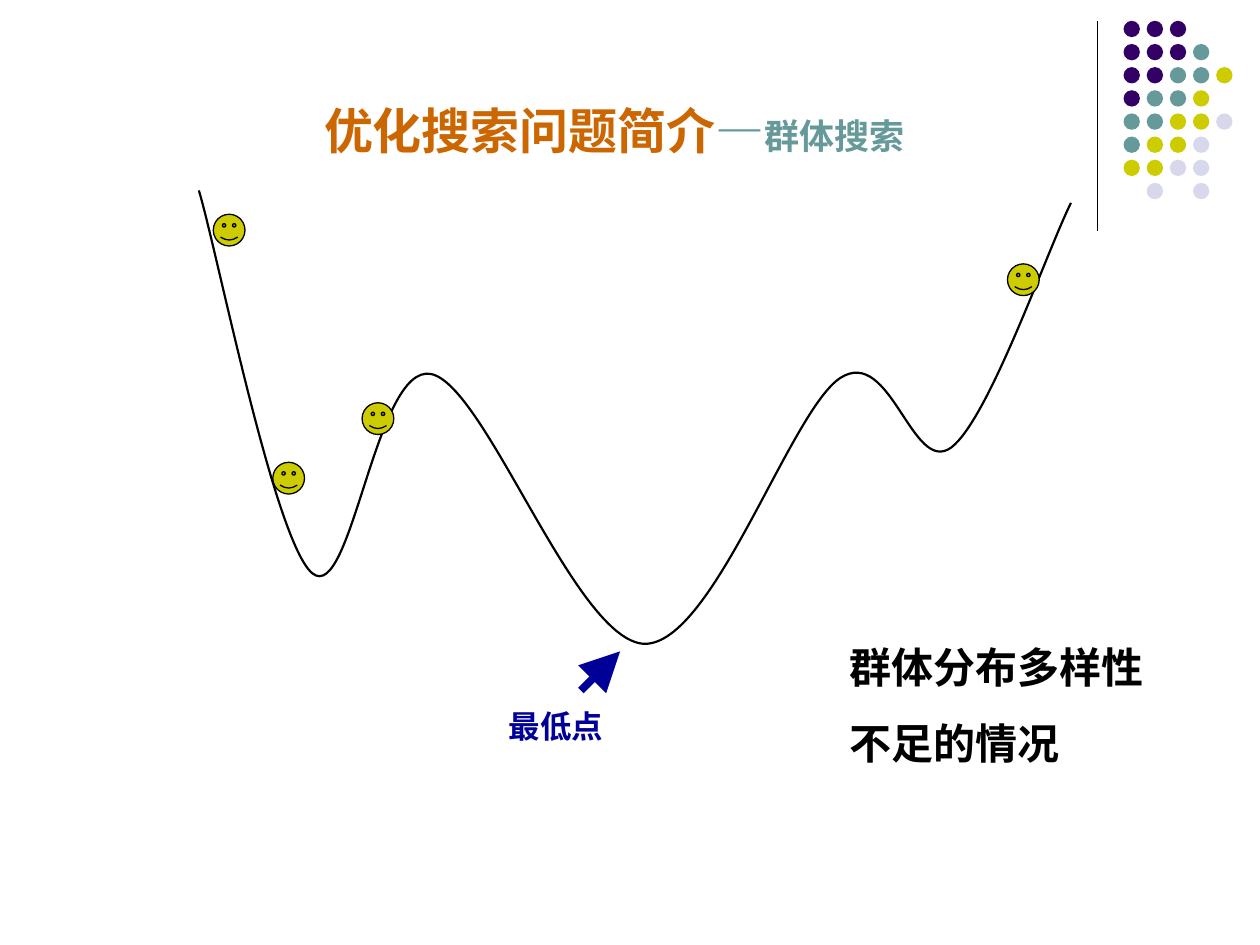
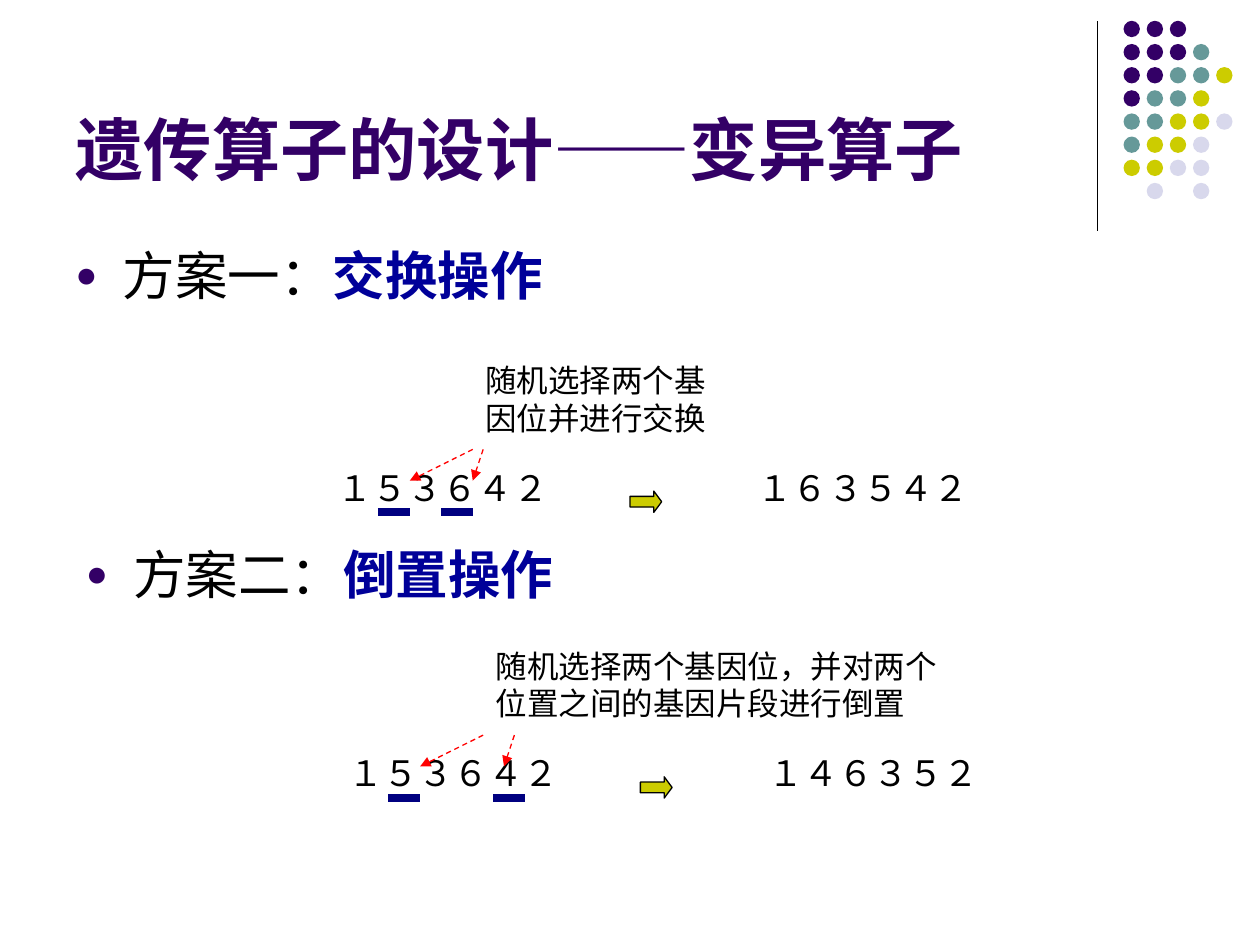
"""Build two slides on population search and mutation operators."""
from dataclasses import dataclass

from lxml.etree import SubElement as Sub
from pptx import Presentation as Deck
from pptx.dml.color import RGBColor as Rgb
from pptx.enum.dml import MSO_LINE as Dash
from pptx.enum.lang import MSO_LANGUAGE_ID as Lang
from pptx.enum.shapes import MSO_CONNECTOR as Link, MSO_SHAPE as Kind
from pptx.enum.text import MSO_ANCHOR as Anchor, PP_ALIGN as Align
from pptx.oxml.ns import qn
from pptx.util import Cm, Pt


@dataclass(frozen=True)
class Theme:
    """Colours, fonts and type sizes of the deck."""
    ink: str = "000000"
    plum: str = "330066"
    teal: str = "669999"
    lime: str = "CCCC00"
    mist: str = "D8D8EC"
    rust: str = "CC6600"
    blue: str = "000099"
    navy: str = "000080"
    red: str = "FF0000"
    sans: str = "Arial"
    serif: str = "Times New Roman"
    head: int = 39
    item: int = 30
    topic: int = 28
    claim: int = 24
    gene: int = 20
    note: int = 18


T = Theme()
DOTS = ("PPP", "PPPT", "PPTTY", "PTTY", "TTYYL", "TYYL", "YYLL", " L L")
HUES = {"P": T.plum, "T": T.teal, "Y": T.lime, "L": T.mist}
START = (4.01, 3.84)
BENDS = (
    ((4.39, 5.11), (5.54, 10.95), (6.3, 11.56)),
    ((7.09, 12.19), (7.57, 7.32), (8.69, 7.54)),
    ((9.8, 7.77), (11.61, 12.95), (13, 12.98)),
    ((14.38, 12.98), (15.93, 8.28), (16.94, 7.62)),
    ((17.96, 6.96), (18.39, 9.6), (19.18, 9.02)),
    ((19.94, 8.43), (21.08, 5.13), (21.59, 4.09)),
)
FACES = ((4.3, 4.32), (7.3, 8.12), (20.31, 5.32), (5.5, 9.32))


def add_run(para, text, size, color=T.ink, bold=False, font=T.sans):
    """Append one formatted run."""
    run = para.add_run()
    run.text = text
    face = run.font
    face.name, face.size, face.bold = font, Pt(size), bold
    face.color.rgb = Rgb.from_string(color)
    face.language_id = Lang.SIMPLIFIED_CHINESE


def fill_text(shape, runs, align=Align.LEFT, anchor=Anchor.TOP):
    """Write runs into the first paragraph of a shape."""
    frame = shape.text_frame
    frame.word_wrap = True
    frame.vertical_anchor = anchor
    para = frame.paragraphs[0]
    para.alignment = align
    for run in runs:
        add_run(para, *run)
    return para


def add_text(slide, box, *runs, align=Align.LEFT):
    """Add a text box and return its paragraph."""
    shape = slide.shapes.add_textbox(*map(Cm, box))
    return fill_text(shape, runs, align)


def set_title(slide, box, *runs, align=Align.LEFT, anchor=Anchor.TOP):
    """Place and fill the title placeholder."""
    title = slide.shapes.title
    title.left, title.top, title.width, title.height = map(Cm, box)
    fill_text(title, runs, align, anchor)


def add_shape(shapes, kind, box, fill, line=None):
    """Add a flat preset shape."""
    shape = shapes.add_shape(kind, *map(Cm, box))
    shape.shadow.inherit = False
    shape.fill.solid()
    shape.fill.fore_color.rgb = Rgb.from_string(fill)
    if line:
        shape.line.color.rgb = Rgb.from_string(line)
        shape.line.width = Pt(0.75)
    else:
        shape.line.fill.background()
    return shape


def add_line(slide, start, end, color, width=0.75, tip=None, dash=False):
    """Add a straight line, with an arrowhead of the given size if any."""
    line = slide.shapes.add_connector(Link.STRAIGHT, *map(Cm, start + end))
    line.line.color.rgb = Rgb.from_string(color)
    line.line.width = Pt(width)
    if dash:
        line.line.dash_style = Dash.DASH
    props = line.element.spPr
    if tip:
        Sub(props.find(qn("a:ln")), qn("a:tailEnd"), type="triangle",
            w=tip, len=tip)
    Sub(props, qn("a:effectLst"))
    return line


def add_decor(slide):
    """Draw the corner rule and dot grid, and move them to the layout."""
    rule = add_line(slide, (22.12, 0.43), (22.12, 4.65), T.ink)
    group = slide.shapes.add_group_shape()
    step = 1.4 / 3
    for row, keys in enumerate(DOTS):
        for col, key in enumerate(keys):
            if key in HUES:
                box = (22.65 + col * step, 0.42 + row * step, 0.33, 0.33)
                add_shape(group.shapes, Kind.OVAL, box, HUES[key])
    for part in (rule, group):
        slide.slide_layout.shapes.element.append(part.element)


def add_curve(slide):
    """Draw the search landscape as joined cubic curves."""
    pen = slide.shapes.build_freeform(*map(Cm, START))
    pen.add_line_segments([tuple(map(Cm, bend[-1])) for bend in BENDS],
                          close=False)
    curve = pen.convert_to_shape()
    for leg, bend in zip(list(curve.element.iter(qn("a:lnTo"))), BENDS):
        leg.tag
        cubic = Sub(leg.getparent(), qn("a:cubicBezTo"))
        for x, y in bend:
            Sub(cubic, qn("a:pt"), x=str(Cm(x) - curve.left),
                y=str(Cm(y) - curve.top))
        leg.getparent().replace(leg, cubic)
    curve.shadow.inherit = False
    curve.fill.background()
    curve.line.color.rgb = Rgb.from_string(T.ink)
    curve.line.width = Pt(1.25)


def add_item(slide, x, y, label, name):
    """Add a bulleted scheme heading."""
    para = add_text(slide, (x, y, 22.86, 2.01))
    props = para._p.get_or_add_pPr()
    props.set("marL", str(Cm(0.96)))
    props.set("indent", str(-Cm(0.96)))
    Sub(Sub(props, qn("a:buClr")), qn("a:srgbClr"), val=T.plum)
    Sub(props, qn("a:buSzPct"), val="70000")
    Sub(props, qn("a:buFont"), typeface=T.sans)
    Sub(props, qn("a:buChar"), char="●")
    add_run(para, label, T.item)
    add_run(para, name, T.item, T.blue, True)


def add_swap(slide, x, y, note, wide, genes, bar, tip):
    """Show a gene string before and after its mutation."""
    for left, text in zip((x, x + 8.47), genes):
        add_text(slide, (left, y, 4.88, 1.12), (text, T.gene))
    for left in (x + 1.06, x + bar):
        add_line(slide, (left, y + 1.06), (left + 0.64, y + 1.06), T.navy, 4.5)
    for start, end in ((2.97, 1.7), (tip + 0.21, tip)):
        add_line(slide, (x + start, y - 0.21), (x + end, y + 0.42), T.red,
                 tip="med", dash=True)
    add_text(slide, (x + 2.97, y - 2.12, wide, 1.78), (note, T.note))
    arrow = add_shape(slide.shapes, Kind.RIGHT_ARROW,
                      (x + 6.14, y + 0.63, 0.64, 0.43), T.lime, T.ink)
    arrow.adjustments[1] = 0.37


def add_page(deck):
    """Add a title-only slide."""
    return deck.slides.add_slide(deck.slide_layouts[5])


def build_search(slide):
    """Build the population search slide."""
    add_curve(slide)
    for x, y in FACES:
        add_shape(slide.shapes, Kind.SMILEY_FACE, (x, y, 0.64, 0.64),
                  T.lime, T.ink)
    set_title(slide, (5.5, 1.89, 13.77, 1.45),
              ("优化搜索问题简介", T.topic, T.rust, True, T.serif),
              ("—", T.topic, T.teal, True, T.serif),
              ("群体搜索", T.gene, T.teal, True, T.serif), align=Align.CENTER)
    add_line(slide, (11.71, 13.92), (12.5, 13.13), T.blue, 4.5, tip="lg")
    add_text(slide, (9.91, 14.12, 2.59, 1.02),
             ("最低点", T.note, T.blue, True), align=Align.CENTER)
    claim = add_text(slide, (16.87, 12.3, 6.93, 3.3),
                     ("群体分布多样性不足的情况", T.claim, T.ink, True))
    claim.line_spacing = 1.5


def build_mutate(slide):
    """Build the mutation operator slide."""
    set_title(slide, (1.27, 0.33, 20.96, 3.61),
              ("遗传算子的设计——变异算子", T.head, T.plum, True),
              anchor=Anchor.BOTTOM)
    add_item(slide, 1.27, 4.78, "方案一：", "交换操作")
    add_swap(slide, 6.56, 9.27, "随机选择两个基因位并进行交换", 5.28,
             ("１５３６４２", "１６３５４２"), 2.33, 2.97)
    add_item(slide, 1.48, 10.8, "方案二：", "倒置操作")
    add_swap(slide, 6.77, 15.03,
             "随机选择两个基因位，并对两个位置之间的基因片段进行倒置", 9.73,
             ("１５３６４２", "１４６３５２"), 3.17, 3.39)


def main():
    """Build and save the deck."""
    deck = Deck()
    deck.slide_width, deck.slide_height = Cm(25.4), Cm(19.05)
    search, mutate = add_page(deck), add_page(deck)
    add_decor(search)
    build_search(search)
    build_mutate(mutate)
    deck.save("out.pptx")


if __name__ == "__main__":
    main()
